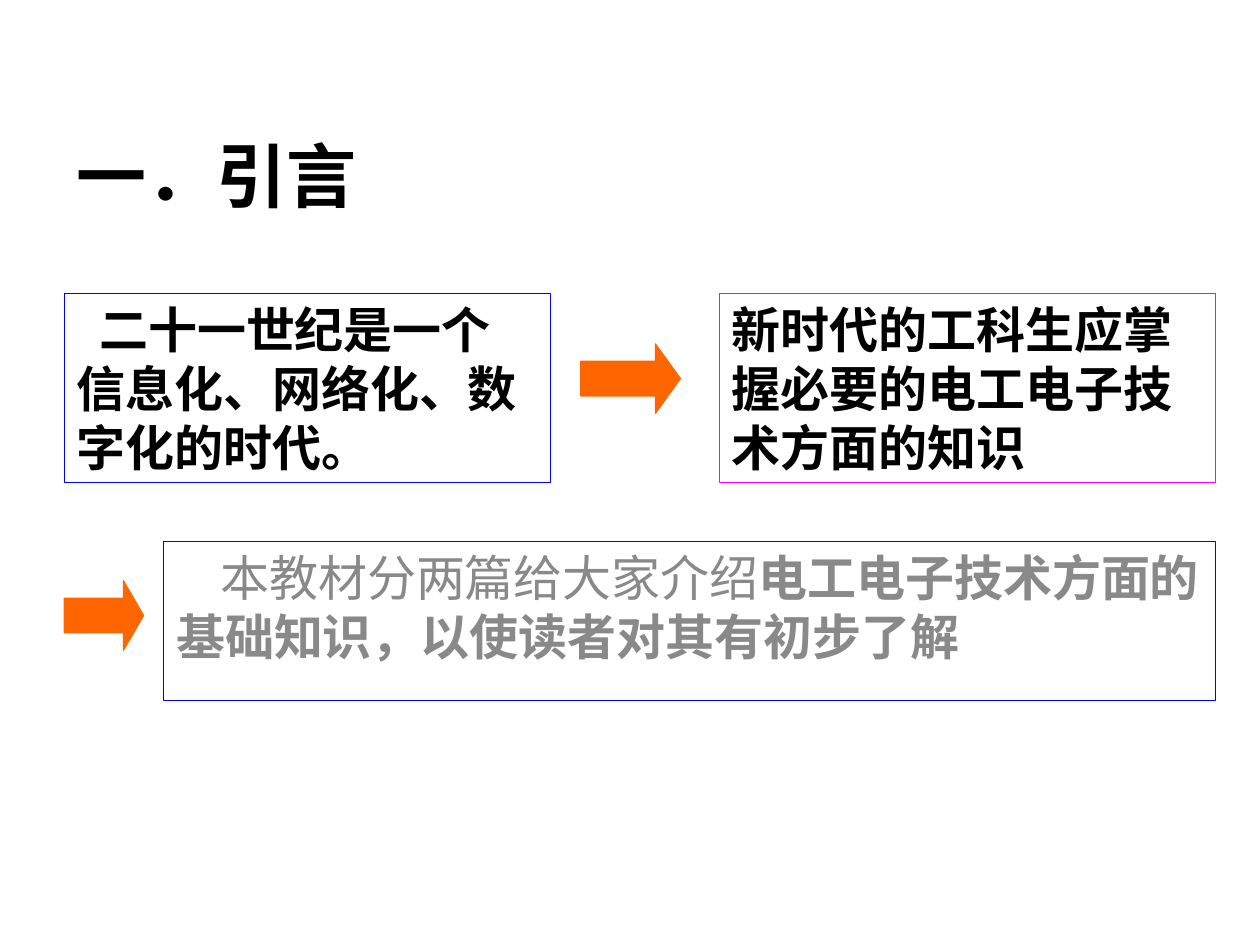
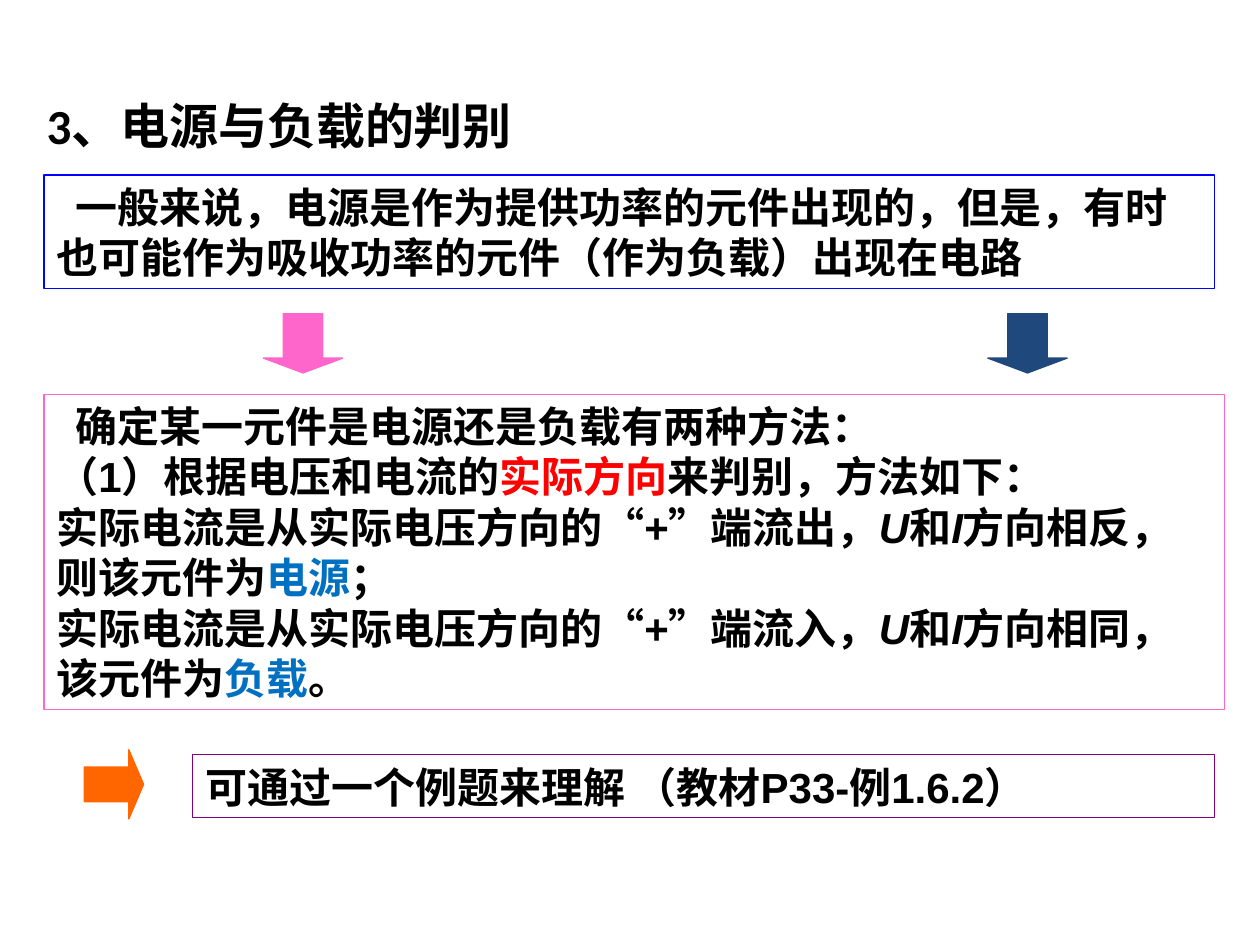
from pptx import Presentation
from pptx.dml.color import RGBColor
from pptx.enum.shapes import MSO_SHAPE
from pptx.enum.text import MSO_ANCHOR, MSO_AUTO_SIZE, PP_ALIGN
from pptx.util import Inches, Pt

# Shared palette
BLACK, GREY, RED = "000000", "898989", "FF0000"
BLUE, SKY, NAVY = "0000FF", "0070C0", "1F497D"
ORANGE, PINK, MAGENTA, PURPLE = "FF6600", "FF66CC", "FF00FF", "800080"
TITLE_ONLY = 5


def rgb(value):
    return RGBColor.from_string(value)


def write(paragraph, text, size=24, font="Arial", color=BLACK, bold=True, italic=False):
    """Add one formatted run to a paragraph."""
    run = paragraph.add_run()
    run.text = text
    run.font.size = Pt(size)
    run.font.name = font
    run.font.bold = bold
    run.font.italic = italic
    run.font.color.rgb = rgb(color)


def add_titled_slide(deck, title, left, top, size):
    slide = deck.slides.add_slide(deck.slide_layouts[TITLE_ONLY])
    heading = slide.shapes.title
    heading.left, heading.top = Inches(left), Inches(top)
    heading.width, heading.height = Inches(9), Inches(0.79)
    frame = heading.text_frame
    frame.vertical_anchor = MSO_ANCHOR.MIDDLE
    paragraph = frame.paragraphs[0]
    paragraph.alignment = PP_ALIGN.LEFT
    write(paragraph, title, size=size, font="Calibri")
    return slide


def add_preset(slide, preset, area, line):
    shape = slide.shapes.add_shape(preset, *map(Inches, area))
    shape.shadow.inherit = False
    shape.line.color.rgb = rgb(line)
    shape.line.width = Pt(0.75)
    return shape


def add_arrow(slide, preset, area, color, head=0.25):
    arrow = add_preset(slide, preset, area, color)
    arrow.fill.solid()
    arrow.fill.fore_color.rgb = rgb(color)
    arrow.adjustments[0] = 0.5
    arrow.adjustments[1] = head


def add_framed_text(slide, area, line, paragraphs, indent=0, before=0,
                    anchor=MSO_ANCHOR.TOP, grow=True, **base):
    """Each paragraph is a list of (text, format overrides); the first is indented."""
    box = add_preset(slide, MSO_SHAPE.RECTANGLE, area, line)
    box.fill.background()
    frame = box.text_frame
    frame.word_wrap = True
    frame.vertical_anchor = anchor
    frame.auto_size = MSO_AUTO_SIZE.SHAPE_TO_FIT_TEXT if grow else MSO_AUTO_SIZE.NONE
    for index, runs in enumerate(paragraphs):
        paragraph = frame.add_paragraph() if index else frame.paragraphs[0]
        paragraph.alignment = PP_ALIGN.LEFT
        paragraph.space_before = Pt(before)
        if indent and index == 0:
            paragraph._p.get_or_add_pPr().set("indent", str(Inches(indent)))
        for text, overrides in runs:
            write(paragraph, text, **{**base, **overrides})


def direction_rule(flow, relation, role, end):
    """One rule for telling a source from a load."""
    return [
        (f"实际电流是从实际电压方向的“+”端{flow}，", {}),
        ("U", {"italic": True}), ("和", {}), ("I", {"italic": True}),
        (f"方向{relation}该元件为", {}), (role, {"color": SKY}), (end, {}),
    ]


def build_introduction(deck):
    slide = add_titled_slide(deck, "一．引言", 0.51, 0.99, 40)

    # The age, and what it asks of students
    add_framed_text(slide, (0.51, 2.33, 3.86, 1.5), BLUE,
                    [[("二十一世纪是一个信息化、网络化、数字化的时代。", {})]],
                    indent=0.18, size=28)
    add_arrow(slide, MSO_SHAPE.RIGHT_ARROW, (4.61, 2.73, 0.79, 0.55), ORANGE, 0.36)
    add_framed_text(slide, (5.71, 2.33, 3.94, 1.5), MAGENTA,
                    [[("新时代的工科生应掌握必要的电工电子技术方面的知识", {})]], size=28)

    # What the textbook offers
    add_arrow(slide, MSO_SHAPE.RIGHT_ARROW, (0.51, 4.61, 0.63, 0.55), ORANGE, 0.29)
    add_framed_text(slide, (1.3, 4.3, 8.35, 1.26), BLUE,
                    [[("本教材分两篇给大家介绍", {"bold": False}),
                      ("电工电子技术方面的基础知识，以使读者对其有初步了解", {})]],
                    indent=0.35, before=7, grow=False,
                    size=28, font="Calibri", color=GREY)


def build_source_or_load(deck):
    slide = add_titled_slide(deck, "3、电源与负载的判别", 0.27, 0.6, 28)

    # General statement
    add_framed_text(slide, (0.35, 1.39, 9.29, 0.9), BLUE,
                    [[("一般来说，电源是作为提供功率的元件出现的，但是，"
                       "有时也可能作为吸收功率的元件（作为负载）出现在电路", {})]],
                    indent=0.15)
    for left, color in ((2.09, PINK), (7.84, NAVY)):
        add_arrow(slide, MSO_SHAPE.DOWN_ARROW, (left, 2.49, 0.63, 0.47), color)

    # Method of telling them apart
    method = [
        [("确定某一元件是电源还是负载有两种方法：", {})],
        [("（1）根据电压和电流的", {}), ("实际方向", {"color": RED}),
         ("来判别，方法如下：", {})],
        direction_rule("流出", "相反，则", "电源", "；"),
        direction_rule("流入", "相同，", "负载", "。"),
    ]
    add_framed_text(slide, (0.35, 3.13, 9.37, 2.5), PINK, method, indent=0.15)

    # Worked example
    add_arrow(slide, MSO_SHAPE.RIGHT_ARROW, (0.67, 5.95, 0.47, 0.55), ORANGE)
    add_framed_text(slide, (1.53, 5.99, 8.11, 0.5), PURPLE,
                    [[("可通过一个例题来理解 （教材P33-例1.6.2）", {})]],
                    anchor=MSO_ANCHOR.MIDDLE)


def main():
    deck = Presentation()
    deck.slide_width, deck.slide_height = Inches(10), Inches(7.5)
    build_introduction(deck)
    build_source_or_load(deck)
    deck.save("out.pptx")


if __name__ == "__main__":
    main()
